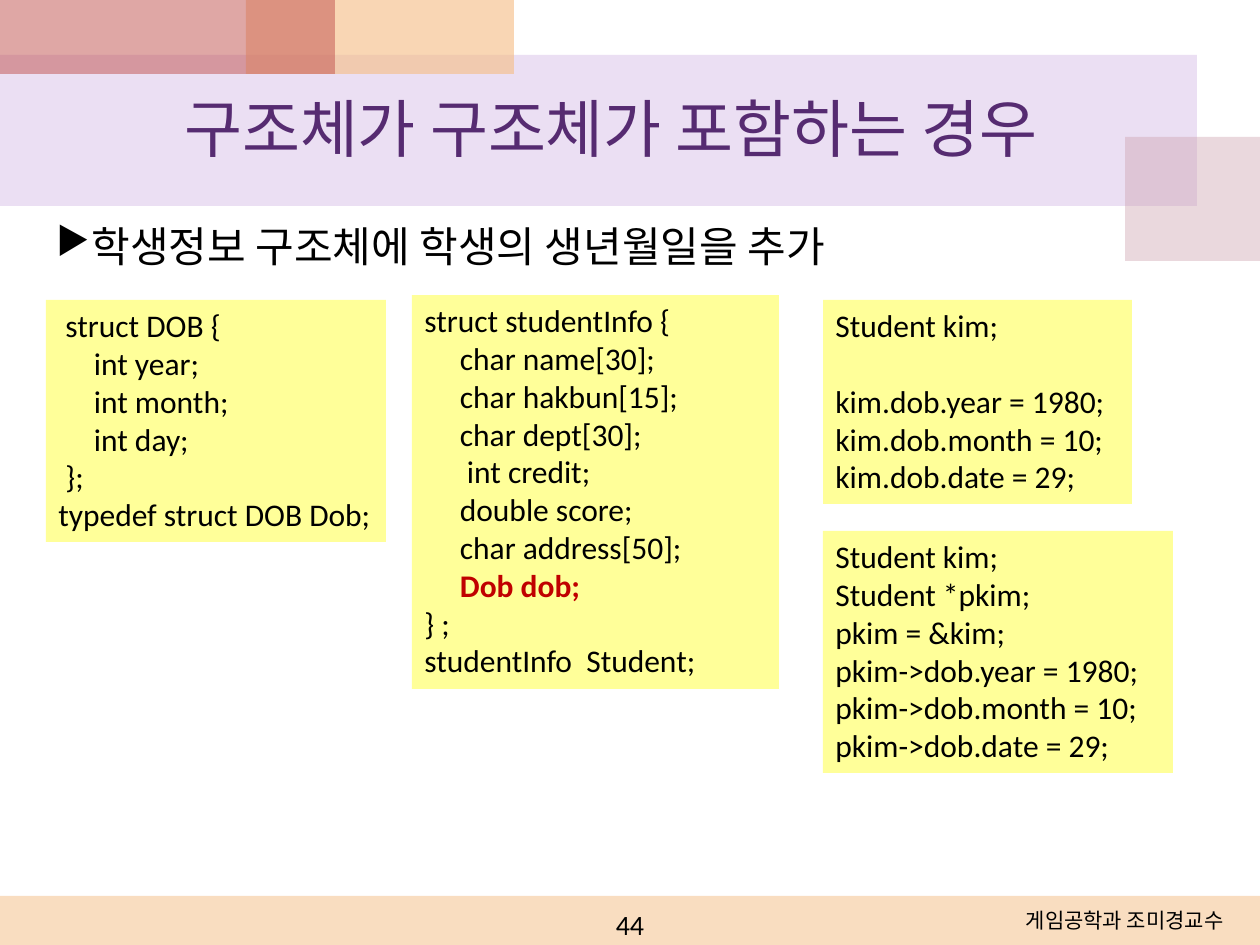
import pptx
import pptx.util
import pptx.dml.color
import pptx.enum.shapes
import pptx.enum.text
import pptx.oxml.ns
from lxml import etree

PX_PER_INCH = 126
FONT = "Calibri"
BLACK = "000000"
ALIGN = pptx.enum.text.PP_ALIGN
ANCHOR = pptx.enum.text.MSO_ANCHOR

BANDS = [
    ((0, 55, 1197, 151), "BF98D8", 30),
    ((1125, 137, 135, 124), "CC9EAC", 40),
    ((246, 0, 268, 74), "F5BC83", 60),
    ((0, 0, 335, 74), "C0504D", 50),
    ((0, 896, 1260, 49), "F5BC83", 50),
]
TITLE = "구조체가 구조체가 포함하는 경우"
TOPIC = "학생정보 구조체에 학생의 생년월일을 추가"
FOOTER = "게임공학과 조미경교수"
PAGE_NUMBER = "44"

CODE_FILL = "FFFF99"
CODE_SIZE = 18
CODE_LINE = 21.6
HIGHLIGHT = "Dob dob;"
HIGHLIGHT_COLOR = "C00000"
CODE_BOXES = [
    ((46, 300, 340, 242), False, [
        " struct DOB {",
        "     int year;",
        "     int month;",
        "     int day;",
        " };",
        "typedef struct DOB Dob;",
    ]),
    ((412, 295, 367, 394), True, [
        "struct studentInfo {",
        "     char name[30];",
        "     char hakbun[15];",
        "     char dept[30];",
        "      int credit;",
        "     double score;",
        "     char address[50];",
        "     Dob dob;",
        "} ;",
        "studentInfo  Student;",
    ]),
    ((823, 300, 309, 204), False, [
        "Student kim;",
        "kim.dob.year = 1980;",
        "kim.dob.month = 10;",
        "kim.dob.date = 29;",
    ]),
    ((823, 531, 350, 242), False, [
        "Student kim;",
        "Student *pkim;",
        "pkim = &kim;",
        "pkim->dob.year = 1980;",
        "pkim->dob.month = 10;",
        "pkim->dob.date = 29;",
    ]),
]
LINE_AFTER_GAP = "kim.dob.year = 1980;"


def px(length):
    return round(length * pptx.util.Inches(1) / PX_PER_INCH)


def color(value):
    return pptx.dml.color.RGBColor.from_string(value)


def add_element(parent, tag, **attributes):
    return etree.SubElement(parent, pptx.oxml.ns.qn(tag), **attributes)


def style(font, size, fill=BLACK):
    font.name = FONT
    font.size = pptx.util.Pt(size)
    font.color.rgb = color(fill)


def add_rectangle(page, place, fill):
    shape = page.shapes.add_shape(
        pptx.enum.shapes.MSO_SHAPE.RECTANGLE, *map(px, place))
    shape.shadow.inherit = False
    shape.fill.solid()
    shape.fill.fore_color.rgb = color(fill)
    shape.line.fill.background()
    return shape


def add_band(page, place, fill, opacity):
    shape = add_rectangle(page, place, fill)
    solid = shape.fill.fore_color._xFill
    add_element(solid[0], "a:alpha", val=str(opacity * 1000))


def add_text(page, place, text, size, align=ALIGN.LEFT, fill=BLACK,
             anchor=ANCHOR.TOP, bullet=None):
    box = page.shapes.add_textbox(*map(px, place))
    frame = box.text_frame
    frame.word_wrap = True
    frame.vertical_anchor = anchor
    frame.text = text
    para = frame.paragraphs[0]
    para.alignment = align
    if bullet:
        properties = para._p.get_or_add_pPr()
        properties.set("marL", "0")
        properties.set("indent", "0")
        bullet_color = add_element(properties, "a:buClr")
        add_element(bullet_color, "a:srgbClr", val=fill)
        add_element(properties, "a:buSzPct", val="90000")
        add_element(properties, "a:buChar", char=bullet)
    style(para.runs[0].font, size, fill)


def add_code(page, place, wrap, lines):
    frame = add_rectangle(page, place, CODE_FILL).text_frame
    frame.word_wrap = wrap
    frame.vertical_anchor = ANCHOR.TOP
    frame.text = "\n".join(lines)
    for para, line in zip(frame.paragraphs, lines):
        para.alignment = ALIGN.LEFT
        if line == LINE_AFTER_GAP:
            para.space_before = pptx.util.Pt(CODE_LINE)
        if HIGHLIGHT in line:
            para.runs[0].text = line.replace(HIGHLIGHT, "")
            span = para.add_run()
            span.text = HIGHLIGHT
        for span in para.runs:
            marked = span.text == HIGHLIGHT
            style(span.font, CODE_SIZE, HIGHLIGHT_COLOR if marked else BLACK)
            span.font.bold = marked


def main():
    deck = pptx.Presentation()
    deck.slide_width, deck.slide_height = px(1260), px(945)
    page = deck.slides.add_slide(deck.slide_layouts[6])
    for band in BANDS:
        add_band(page, *band)
    add_text(page, (44, 214, 1160, 653), TOPIC, 24, bullet="▶")
    add_text(page, (44, 67, 1134, 121), TITLE, 36, ALIGN.CENTER, "562B71",
             ANCHOR.MIDDLE)
    for code_box in CODE_BOXES:
        add_code(page, *code_box)
    add_text(page, (837, 901, 399, 34), FOOTER, 12, ALIGN.RIGHT)
    add_text(page, (483, 901, 294, 34), PAGE_NUMBER, 16, ALIGN.CENTER)
    deck.save("out.pptx")


if __name__ == "__main__":
    main()
